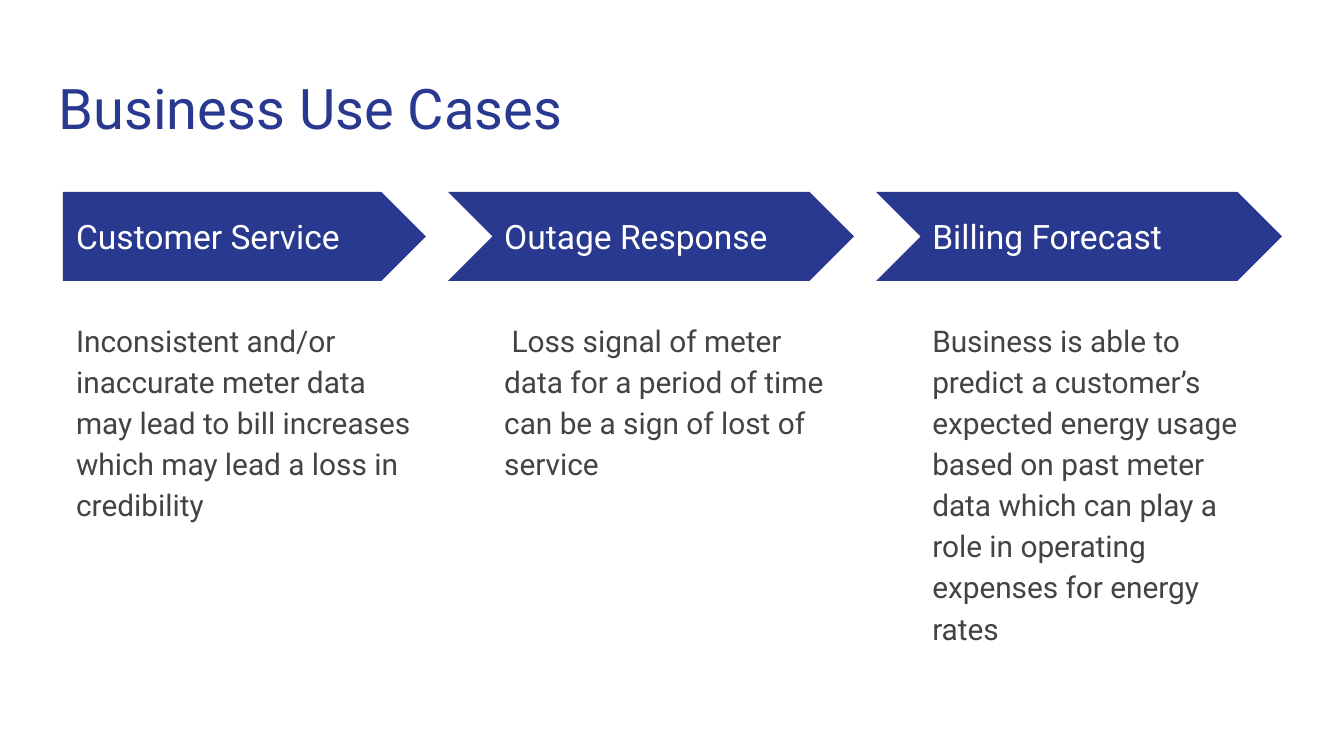
from dataclasses import dataclass

from pptx import Presentation
from pptx.dml.color import RGBColor
from pptx.enum.shapes import MSO_SHAPE
from pptx.enum.text import MSO_ANCHOR, MSO_AUTO_SIZE, PP_ALIGN
from pptx.util import Cm, Pt


@dataclass(frozen=True)
class Theme:
    font: str = "Roboto"
    navy: RGBColor = RGBColor(0x2A, 0x39, 0x90)
    grey: RGBColor = RGBColor(0x43, 0x43, 0x43)
    white: RGBColor = RGBColor(0xFF, 0xFF, 0xFF)
    title_size: int = 30
    heading_size: int = 18
    body_size: int = 16


@dataclass(frozen=True)
class UseCase:
    heading: str
    body: str


THEME = Theme()
USE_CASES = [
    UseCase("Customer Service",
            "Inconsistent and/or inaccurate meter data may lead to bill "
            "increases which may lead a loss in credibility"),
    UseCase("Outage Response",
            " Loss signal of meter data for a period of time can be a sign "
            "of lost of service"),
    UseCase("Billing Forecast",
            "Business is able to predict a customer’s expected energy usage "
            "based on past meter data which can play a role in operating "
            "expenses for energy rates"),
]

# Lengths in centimetres
LEFT, PITCH = 1.19, 8.09
COLUMN_W, HEADING_W = 6.86, 6.27
ARROW_TOP, ARROW_H = 3.63, 1.68
NOTCH = 0.81  # how far a chevron starts left of its text column
HEADING_TOP, HEADING_H = 4.04, 0.86
BODY_TOP, BODY_H = 5.74, 7.37
INSET = 0.25


def write(sp, text: str, size: int, color: RGBColor,
          anchor: MSO_ANCHOR = MSO_ANCHOR.TOP):
    """Fill a text shape with one left-aligned run and return its paragraph."""
    tf = sp.text_frame
    tf.word_wrap = True
    tf.auto_size = MSO_AUTO_SIZE.NONE
    tf.vertical_anchor = anchor
    tf.margin_left = tf.margin_right = Cm(INSET)
    tf.margin_top = tf.margin_bottom = Cm(INSET)
    p = tf.paragraphs[0]
    p.alignment = PP_ALIGN.LEFT
    p.line_spacing = 1.0
    r = p.add_run()
    r.text = text
    r.font.name = THEME.font
    r.font.size = Pt(size)
    r.font.color.rgb = color
    return p


def add_title(s, text: str) -> None:
    sp = s.shapes.title
    sp.left, sp.top, sp.width, sp.height = Cm(0.86), Cm(1.14), Cm(23.67), Cm(1.68)
    write(sp, text, THEME.title_size, THEME.navy)


def add_arrow(s, column: int, x: float) -> None:
    """The first arrow has a flat back; later ones are notched chevrons."""
    notch = NOTCH if column else 0
    kind = MSO_SHAPE.CHEVRON if column else MSO_SHAPE.PENTAGON
    sp = s.shapes.add_shape(kind, Cm(x - notch), Cm(ARROW_TOP),
                            Cm(COLUMN_W + notch), Cm(ARROW_H))
    sp.adjustments[0] = 0.5
    sp.shadow.inherit = False
    sp.fill.solid()
    sp.fill.fore_color.rgb = THEME.navy
    sp.line.fill.background()


def add_use_case(s, column: int, case: UseCase) -> None:
    x = LEFT + column * PITCH
    add_arrow(s, column, x)

    heading = s.shapes.add_textbox(Cm(x), Cm(HEADING_TOP),
                                   Cm(HEADING_W), Cm(HEADING_H))
    write(heading, case.heading, THEME.heading_size, THEME.white,
          MSO_ANCHOR.MIDDLE)

    body = s.shapes.add_textbox(Cm(x), Cm(BODY_TOP), Cm(COLUMN_W), Cm(BODY_H))
    p = write(body, case.body, THEME.body_size, THEME.grey)
    p.line_spacing = 1.15
    p.space_after = Pt(8)


def main() -> None:
    prs = Presentation()
    prs.slide_width, prs.slide_height = Cm(25.4), Cm(14.29)
    s = prs.slides.add_slide(prs.slide_layouts[5])
    add_title(s, "Business Use Cases")
    for column, case in enumerate(USE_CASES):
        add_use_case(s, column, case)
    prs.save("out.pptx")


if __name__ == "__main__":
    main()
